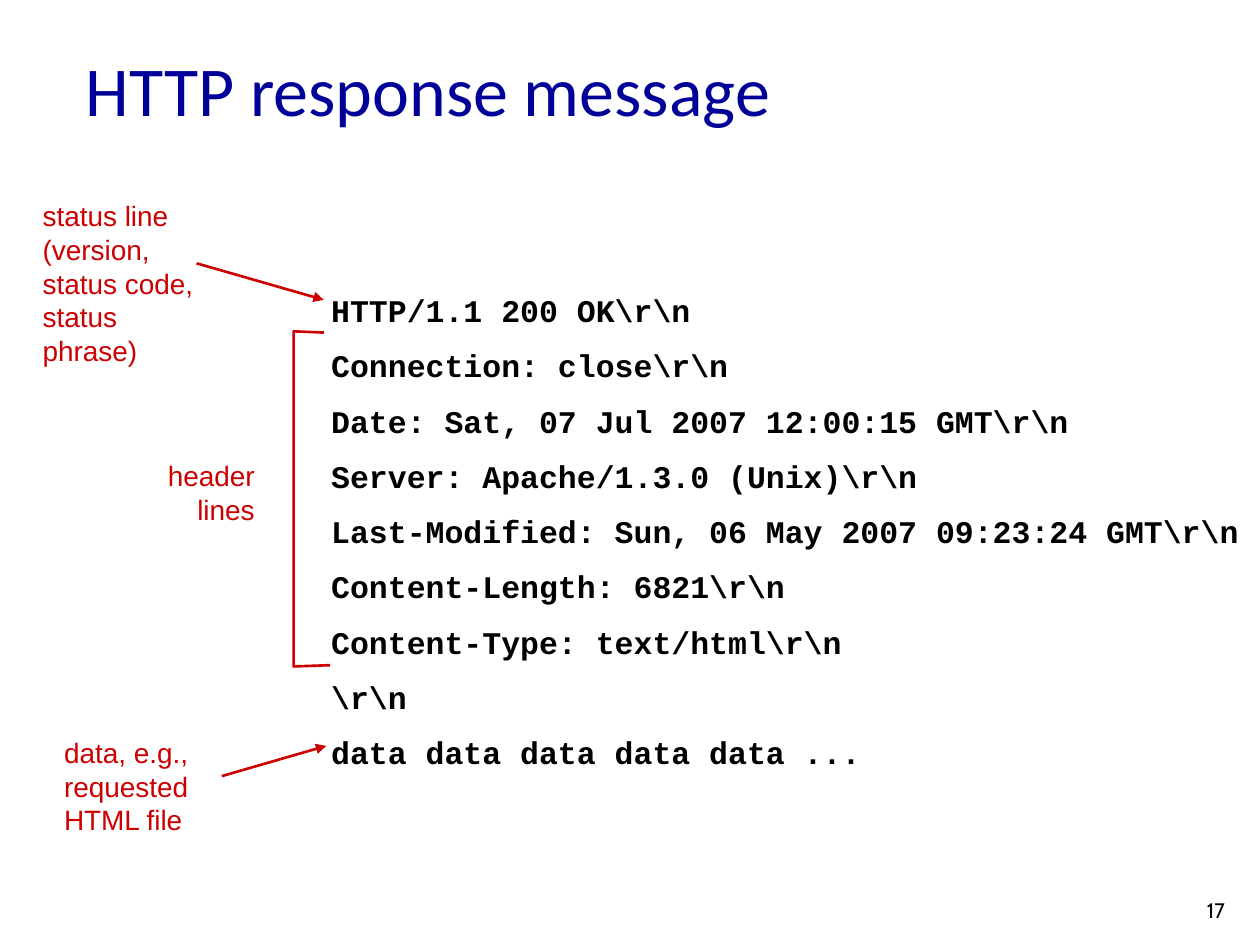
import collections
import dataclasses

import pptx
import pptx.dml.color
import pptx.enum.shapes
import pptx.enum.text
import pptx.oxml
import pptx.oxml.ns
import pptx.util

Inches, Pt = pptx.util.Inches, pptx.util.Pt
RGB = pptx.dml.color.RGBColor.from_string
ALIGN = pptx.enum.text.PP_ALIGN
ANCHOR = pptx.enum.text.MSO_ANCHOR

# Grid of 100 columns by 75 rows; boxes and points are given in its cells
COLUMNS, ROWS = 100, 75
CELL = Inches(10) // COLUMNS
Box = collections.namedtuple("Box", "left top width height")


@dataclasses.dataclass(frozen=True)
class Style:
    font: str
    size: float
    color: str
    bold: bool = False
    leading: float = 0
    space_before: float = 0


@dataclasses.dataclass(frozen=True)
class Theme:
    title = Style("Calibri", 40, "000099")
    label = Style("Arial", 16, "CC0000", leading=19.2)
    code = Style("Courier New", 18, "000000", bold=True, leading=21.6, space_before=10)
    number = Style("Cabin", 12, "000000")
    line_color = "CC0000"
    line_width = 1.5


THEME = Theme()
RESPONSE_LINES = [
    r"HTTP/1.1 200 OK\r\n",
    r"Connection: close\r\n",
    r"Date: Sat, 07 Jul 2007 12:00:15 GMT\r\n",
    r"Server: Apache/1.3.0 (Unix)\r\n",
    r"Last-Modified: Sun, 06 May 2007 09:23:24 GMT\r\n",
    r"Content-Length: 6821\r\n",
    r"Content-Type: text/html\r\n",
    r"\r\n",
    "data data data data data ...",
]


def cells(*values):
    return [round(value * CELL) for value in values]


def within(box, column, row):
    """Grid point at an offset from the top left corner of a box."""
    return box.left + column, box.top + row


def write(frame, lines, style, align=ALIGN.LEFT):
    frame.text = "\n".join(lines)
    for index, paragraph in enumerate(frame.paragraphs):
        paragraph.alignment = align
        if style.leading:
            paragraph.line_spacing = Pt(style.leading)
        if index:
            paragraph.space_before = Pt(style.space_before)
        font = paragraph.font
        font.name, font.size, font.bold = style.font, Pt(style.size), style.bold
        font.color.rgb = RGB(style.color)


def add_text(slide, box, lines, style, align=ALIGN.LEFT, wrap=False):
    frame = slide.shapes.add_textbox(*cells(*box)).text_frame
    frame.word_wrap = wrap
    write(frame, lines, style, align)


def format_line(line):
    line.color.rgb = RGB(THEME.line_color)
    line.width = Pt(THEME.line_width)


def add_arrow(slide, start, end):
    arrow = slide.shapes.add_connector(
        pptx.enum.shapes.MSO_CONNECTOR.STRAIGHT, *cells(*start, *end))
    format_line(arrow.line)
    properties = arrow._element.spPr
    head = pptx.oxml.parse_xml(
        '<a:tailEnd %s type="triangle"/>' % pptx.oxml.ns.nsdecls("a"))
    arrow.line._get_or_add_ln().append(head)
    properties.append(pptx.oxml.parse_xml(
        "<a:effectLst %s/>" % pptx.oxml.ns.nsdecls("a")))


def place_title(slide, box):
    title = slide.shapes.title
    title.left, title.top, title.width, title.height = cells(*box)
    title.text_frame.vertical_anchor = ANCHOR.MIDDLE
    title.text_frame.auto_size = pptx.enum.text.MSO_AUTO_SIZE.NONE
    write(title.text_frame, ["HTTP response message"], THEME.title)


def place_status_note(slide, box):
    add_text(slide, box._replace(width=16),
             ["status line", "(version,", "status code,", "status phrase)"], THEME.label)
    add_arrow(slide, within(box, 13.2, 5.6), within(box, box.width, 8.5))


def place_header_note(slide, box):
    # Label, then a bracket that spans the header lines
    add_text(slide, Box(box.left, box.top + 9.6, 8.9, 6.4),
             ["header", "lines"], THEME.label, ALIGN.RIGHT)
    corners = [within(box, 13.4, 0.1), within(box, 11, 0),
               within(box, 11, box.height), within(box, box.width, box.height - 0.1)]
    start, *others = [cells(*corner) for corner in corners]
    builder = slide.shapes.build_freeform(*start)
    builder.add_line_segments(others, close=False)
    bracket = builder.convert_to_shape()
    bracket.shadow.inherit = False
    bracket.fill.background()
    format_line(bracket.line)


def place_data_note(slide, box):
    add_text(slide, box._replace(width=12.5),
             ["data, e.g.,", "requested", "HTML file"], THEME.label)
    add_arrow(slide, within(box, 13.5, 3.7), within(box, box.width, 1.3))


def main():
    presentation = pptx.Presentation()
    presentation.slide_width = CELL * COLUMNS
    presentation.slide_height = CELL * ROWS
    slide = presentation.slides.add_slide(presentation.slide_layouts[5])

    place_title(slide, Box(5.8, 1.7, 85, 10.7))
    place_status_note(slide, Box(2.4, 15.3, 23.3, 11.7))
    place_header_note(slide, Box(12.3, 26.3, 13.9, 26.6))
    place_data_note(slide, Box(4.1, 57.9, 21.8, 9))
    # Response message and slide number
    add_text(slide, Box(25.3, 22.6, 74.5, 39.1), RESPONSE_LINES, THEME.code, wrap=True)
    add_text(slide, Box(94.8, 70.7, 5, 4.2), ["17"], THEME.number, wrap=True)

    presentation.save("out.pptx")


if __name__ == "__main__":
    main()
